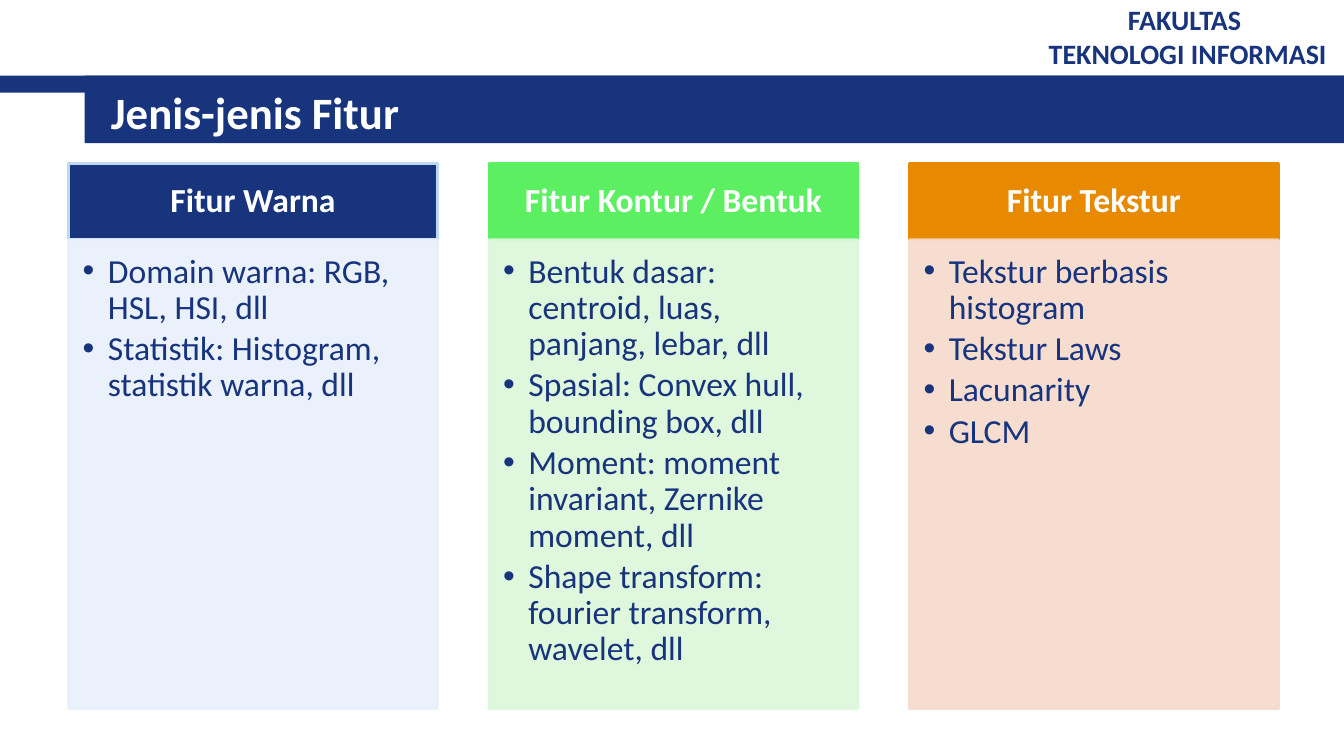
from lxml.etree import SubElement
from pptx import Presentation
from pptx.dml.color import RGBColor
from pptx.enum.shapes import MSO_SHAPE
from pptx.enum.text import MSO_ANCHOR, MSO_AUTO_SIZE, PP_ALIGN
from pptx.oxml.ns import qn
from pptx.util import Inches, Pt

NAVY = RGBColor(0x17, 0x34, 0x7D)
WHITE = RGBColor(0xFF, 0xFF, 0xFF)
PALE_BLUE = RGBColor(0xBD, 0xD8, 0xF1)
ICE = RGBColor(0xE8, 0xF0, 0xFA)
GREEN = RGBColor(0x5B, 0xEF, 0x61)
MINT = RGBColor(0xDC, 0xF7, 0xDA)
ORANGE = RGBColor(0xE7, 0x8A, 0x00)
PEACH = RGBColor(0xF6, 0xDA, 0xCB)

COLUMNS = [
    ("Fitur Warna", NAVY, PALE_BLUE, ICE,
     ["Domain warna: RGB, HSL, HSI, dll",
      "Statistik: Histogram, statistik warna, dll"]),
    ("Fitur Kontur / Bentuk", GREEN, GREEN, MINT,
     ["Bentuk dasar: centroid, luas, panjang, lebar, dll",
      "Spasial: Convex hull, bounding box, dll",
      "Moment: moment invariant, Zernike moment, dll",
      "Shape transform: fourier transform, wavelet, dll"]),
    ("Fitur Tekstur", ORANGE, ORANGE, PEACH,
     ["Tekstur berbasis histogram", "Tekstur Laws", "Lacunarity", "GLCM"]),
]
COLUMN_LEFT, COLUMN_STEP, COLUMN_WIDTH = 0.68, 4.17, 3.66
HEADING_TOP, HEADING_HEIGHT, LIST_HEIGHT = 1.62, 0.76, 4.65


def write(shape, lines, size, color, bold, align, anchor, margins, spacing=None):
    """Fill a shape with formatted paragraphs; margins run left, top, right, bottom."""
    frame = shape.text_frame
    frame.text = "\n".join(lines)
    frame_format = {"word_wrap": True, "auto_size": MSO_AUTO_SIZE.NONE,
                    "vertical_anchor": anchor}
    for side, margin in zip(("left", "top", "right", "bottom"), margins):
        frame_format["margin_" + side] = Inches(margin)
    for name, value in frame_format.items():
        setattr(frame, name, value)
    font_format = {"name": "Calibri", "size": Pt(size), "bold": bold}
    paragraph_format = {"alignment": align, "space_before": Pt(0), **(spacing or {})}
    for paragraph in frame.paragraphs:
        for name, value in paragraph_format.items():
            setattr(paragraph, name, value)
        for run in paragraph.runs:
            for name, value in font_format.items():
                setattr(run.font, name, value)
            run.font.color.rgb = color


def place(shape, left, top, width, height, fill=None, line=None):
    """Position a shape and colour it."""
    box = {"left": left, "top": top, "width": width, "height": height}
    for name, value in box.items():
        setattr(shape, name, Inches(value))
    if fill is not None:
        shape.fill.solid()
        shape.fill.fore_color.rgb = fill
    if line is not None:
        shape.line.color.rgb = line
        shape.line.width = Pt(2)


presentation = Presentation()
presentation.slide_width = Inches(13.33)
presentation.slide_height = Inches(7.5)
slide = presentation.slides.add_slide(presentation.slide_layouts[4])
shapes = slide.shapes
tree = shapes._spTree
bodies = [shape for shape in slide.placeholders if shape.placeholder_format.idx > 0]
for spare in bodies[len(COLUMNS):]:
    tree.remove(spare._element)

# Header bars
for left, width, height in [(0, 13.33, 0.17), (0.84, 12.49, 0.67)]:
    bar = shapes.add_shape(MSO_SHAPE.RECTANGLE, 0, 0, 0, 0)
    place(bar, left, 0.75, width, height, NAVY)
    bar.line.fill.background()
    bar.shadow.inherit = False

# Faculty name
faculty = shapes.add_textbox(0, 0, 0, 0)
place(faculty, 10.23, 0.05, 3.1, 0.62)
write(faculty, ["FAKULTAS ", "TEKNOLOGI INFORMASI"], 20, NAVY, True,
      PP_ALIGN.CENTER, MSO_ANCHOR.MIDDLE, (0.1, 0.05, 0.1, 0.05))

# Title, brought in front of the bars
title = shapes.title
tree.append(title._element)
place(title, 1, 0.8, 11.89, 0.62)
write(title, ["Jenis-jenis Fitur"], 32, WHITE, True,
      PP_ALIGN.LEFT, MSO_ANCHOR.MIDDLE, (0.1, 0.05, 0.1, 0.05))

# Feature columns: heading above a bulleted list
for index, (name, fill, outline, tint, items) in enumerate(COLUMNS):
    left = COLUMN_LEFT + index * COLUMN_STEP
    heading = shapes.add_shape(MSO_SHAPE.RECTANGLE, 0, 0, 0, 0)
    place(heading, left, HEADING_TOP, COLUMN_WIDTH, HEADING_HEIGHT, fill, outline)
    heading.shadow.inherit = False
    write(heading, [name], 24, WHITE, True, PP_ALIGN.CENTER, MSO_ANCHOR.MIDDLE,
          (0.19, 0.11, 0.19, 0.11), {"line_spacing": 0.9})

    body = bodies[index]
    tree.append(body._element)
    place(body, left, HEADING_TOP + HEADING_HEIGHT, COLUMN_WIDTH, LIST_HEIGHT, tint, tint)
    write(body, items, 24, NAVY, False, PP_ALIGN.LEFT, MSO_ANCHOR.TOP,
          (0.14, 0.14, 0.19, 0.21), {"line_spacing": 0.9, "space_after": Pt(3.6)})

    # Slight transparency of fill and line
    for color in body._element.spPr.iter(qn("a:srgbClr")):
        SubElement(color, qn("a:alpha"), val="90000")

    # Bullets with a hanging indent
    for paragraph in body.text_frame.paragraphs:
        properties = paragraph._p.get_or_add_pPr()
        properties.set("marL", str(Inches(0.25)))
        properties.set("indent", str(Inches(-0.25)))
        SubElement(properties, qn("a:buFont"), typeface="Arial")
        SubElement(properties, qn("a:buChar"), char="•")

presentation.save("out.pptx")
